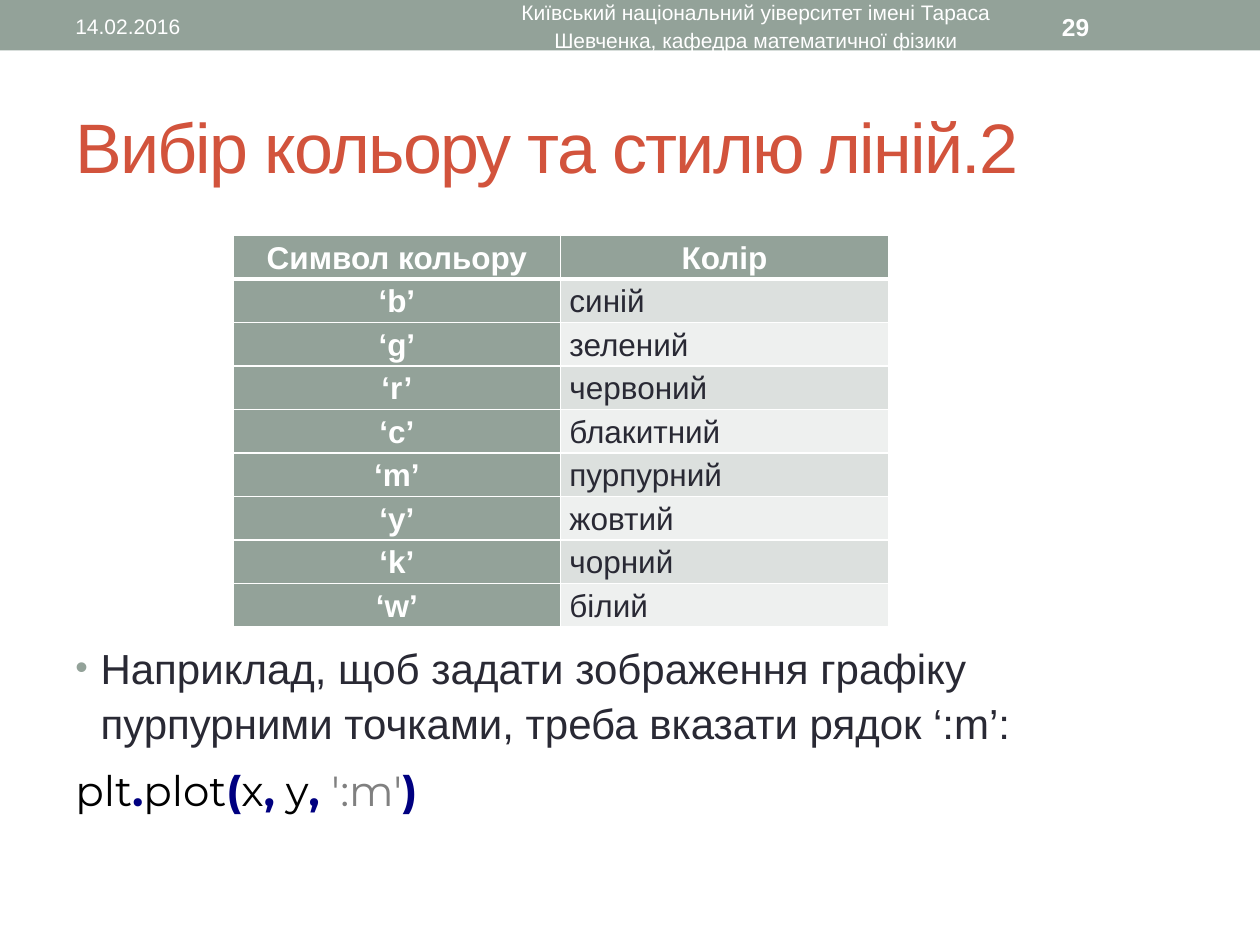
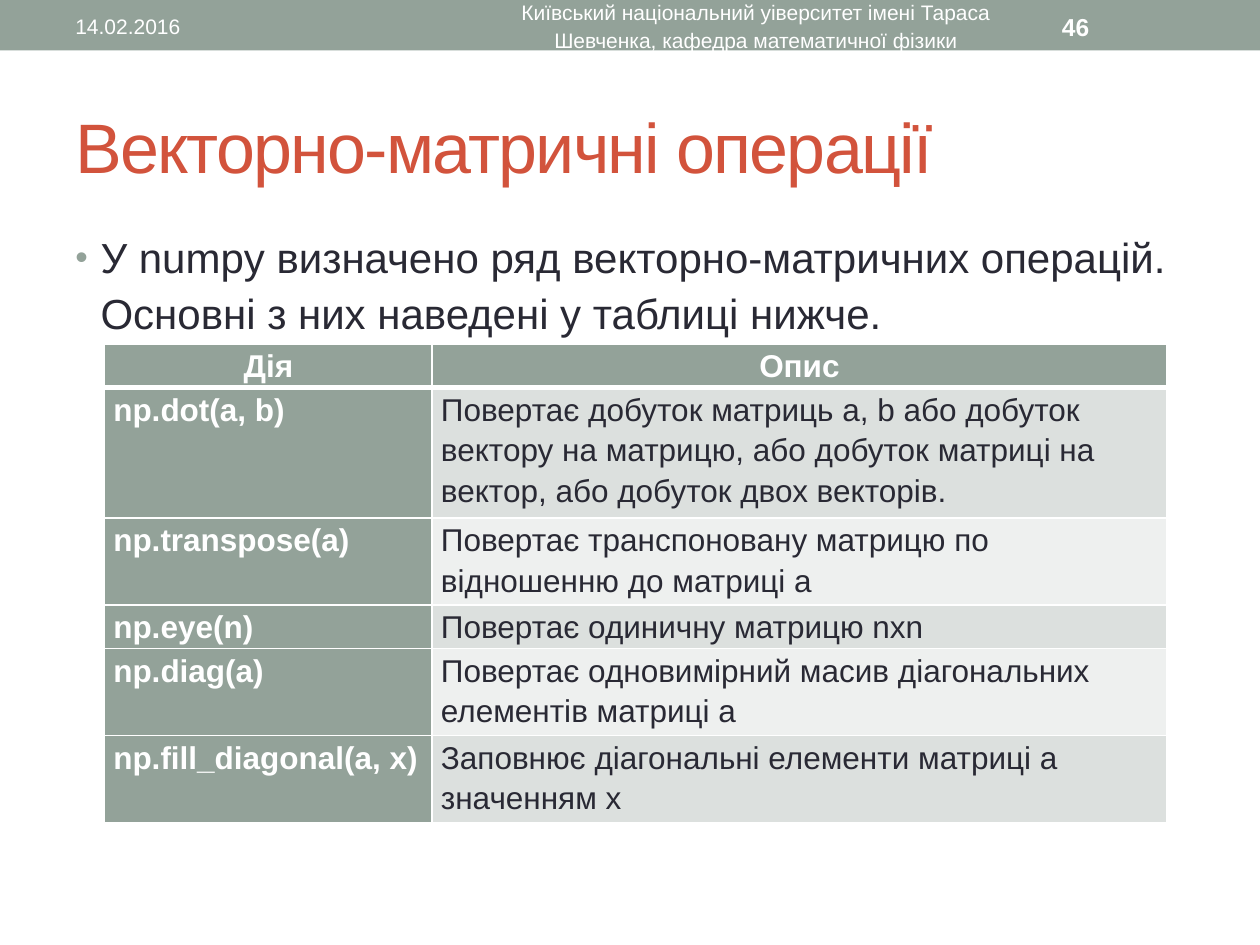
from lxml.etree import SubElement
from pptx import Presentation
from pptx.dml.color import RGBColor
from pptx.enum.shapes import MSO_SHAPE
from pptx.enum.text import MSO_ANCHOR, PP_ALIGN
from pptx.oxml.ns import qn
from pptx.util import Inches, Pt

SAGE = RGBColor(0x93, 0xA2, 0x99)
BRICK = RGBColor(0xD2, 0x53, 0x3C)
INK = RGBColor(0x29, 0x29, 0x34)
WHITE = RGBColor(0xFF, 0xFF, 0xFF)
BLACK = RGBColor(0x00, 0x00, 0x00)
NAVY = RGBColor(0x00, 0x00, 0x80)
GRAY = RGBColor(0x80, 0x80, 0x80)
ROW_FILLS = [RGBColor(0xDC, 0xE0, 0xDE), RGBColor(0xEE, 0xF0, 0xEF)]

DATE = "14.02.2016"
FOOTER = "Київський національний уіверситет імені Тараса Шевченка, кафедра математичної фізики"
ROW_HEIGHT = 0.32

PAGES = [
    {
        "title": "Вибір кольору та стилю ліній.2",
        "number": "29",
        "bullet": "Наприклад, щоб задати зображення графіку пурпурними точками, треба вказати рядок ‘:m’:",
        "bullet_top": 5.01,
        "code": [("plt", BLACK), (".", NAVY), ("plot", BLACK), ("(", NAVY), ("x", BLACK),
                 (",", NAVY), (" y", BLACK), (", ", NAVY), ("':m'", GRAY), (")", NAVY)],
        "table_at": (1.85, 1.87),
        "columns": (2.6, 2.6),
        "key_align": PP_ALIGN.CENTER,
        "rows": [
            ("Символ кольору", "Колір"),
            ("‘b’", "синій"),
            ("‘g’", "зелений"),
            ("‘r’", "червоний"),
            ("‘c’", "блакитний"),
            ("‘m’", "пурпурний"),
            ("‘y’", "жовтий"),
            ("‘k’", "чорний"),
            ("‘w’", "білий"),
        ],
    },
    {
        "title": "Векторно-матричні операції",
        "number": "46",
        "bullet": "У numpy визначено ряд векторно-матричних операцій. Основні з них наведені у таблиці нижче.",
        "bullet_top": 1.75,
        "code": [],
        "table_at": (0.83, 2.73),
        "columns": (2.6, 5.83),
        "key_align": PP_ALIGN.LEFT,
        "rows": [
            ("Дія", "Опис"),
            ("np.dot(a, b)", "Повертає добуток матриць a, b або добуток вектору на матрицю, "
                             "або добуток матриці на вектор, або добуток двох векторів."),
            ("np.transpose(a)", "Повертає транспоновану матрицю по відношенню до матриці a"),
            ("np.eye(n)", "Повертає одиничну матрицю nxn"),
            ("np.diag(a)", "Повертає одновимірний масив діагональних елементів матриці a"),
            ("np.fill_diagonal(a, x)", "Заповнює діагональні елементи матриці a значенням x"),
        ],
    },
]


def add_text(page, area, text, size, color, bold=False, align=PP_ALIGN.LEFT, anchor=MSO_ANCHOR.MIDDLE):
    box = page.shapes.add_textbox(*[Inches(length) for length in area])
    frame = box.text_frame
    frame.word_wrap = True
    frame.vertical_anchor = anchor
    frame.text = text
    para = frame.paragraphs[0]
    para.alignment = align
    para.line_spacing = 1.1
    font = para.runs[0].font
    font.name, font.size, font.bold = "Arial", Pt(size), bold
    font.color.rgb = color
    return frame


def style_cell(cell, text, color, fill, bold, align, top_width, bottom_width):
    cell.margin_left = cell.margin_right = Inches(0.07)
    cell.margin_top = cell.margin_bottom = 0
    cell.text = text
    para = cell.text_frame.paragraphs[0]
    para.alignment = align
    para.line_spacing = 1.15
    font = para.runs[0].font
    font.name, font.size, font.bold = "Arial", Pt(18), bold
    font.color.rgb = color
    properties = cell._tc.get_or_add_tcPr()
    for side, width in (("lnL", 1), ("lnR", 1), ("lnT", top_width), ("lnB", bottom_width)):
        line = SubElement(properties, qn(f"a:{side}"), w=str(Pt(width)))
        SubElement(SubElement(line, qn("a:solidFill")), qn("a:srgbClr"), val=str(WHITE))
    cell.fill.solid()
    cell.fill.fore_color.rgb = fill


deck = Presentation()
deck.slide_width, deck.slide_height = Inches(10), Inches(7.5)

for content in PAGES:
    page = deck.slides.add_slide(deck.slide_layouts[6])

    band = page.shapes.add_shape(MSO_SHAPE.RECTANGLE, 0, 0, deck.slide_width, Inches(0.4))
    band.shadow.inherit = False
    band.fill.solid()
    band.fill.fore_color.rgb = SAGE
    band.line.fill.background()

    title = add_text(page, (0.5, 0.58, 9, 1.08), content["title"], 40, BRICK)
    title.paragraphs[0].runs[0]._r.get_or_add_rPr().set("spc", "-100")

    # Bullet, followed by the line of code where there is one
    body_area = (0.5, content["bullet_top"], 9, 7.08 - content["bullet_top"])
    body = add_text(page, body_area, content["bullet"], 24, INK, anchor=MSO_ANCHOR.TOP)
    bullet = body.paragraphs[0]._p.get_or_add_pPr()
    bullet.set("marL", str(Inches(0.2)))
    bullet.set("indent", str(Inches(-0.2)))
    SubElement(SubElement(bullet, qn("a:buClr")), qn("a:srgbClr"), val=str(SAGE))
    SubElement(bullet, qn("a:buSzPct"), val="85000")
    SubElement(bullet, qn("a:buFont"), typeface="Arial")
    SubElement(bullet, qn("a:buChar"), char="•")
    if content["code"]:
        code = body.add_paragraph()
        code.line_spacing = 1.15
        code.space_before = Pt(4.8)
        for token, color in content["code"]:
            span = code.add_run()
            span.text = token
            span.font.name, span.font.size = "Montserrat", Pt(24)
            span.font.bold = color == NAVY
            span.font.color.rgb = color

    add_text(page, (0.5, 0.02, 3.17, 0.36), DATE, 12, WHITE)
    add_text(page, (3.75, 0.02, 4.5, 0.36), FOOTER, 12, WHITE, align=PP_ALIGN.CENTER)
    add_text(page, (8.33, 0.02, 1.17, 0.36), content["number"], 14, WHITE, bold=True)

    rows, columns = content["rows"], content["columns"]
    left, top = content["table_at"]
    table = page.shapes.add_table(len(rows), len(columns), Inches(left), Inches(top),
                                  Inches(sum(columns)), Inches(ROW_HEIGHT * len(rows))).table
    for column, width in zip(table.columns, columns):
        column.width = Inches(width)
    for r, row in enumerate(rows):
        table.rows[r].height = Inches(ROW_HEIGHT)
        for c, text in enumerate(row):
            strong = r == 0 or c == 0
            if r == 0:
                align = PP_ALIGN.CENTER
            else:
                align = content["key_align"] if c == 0 else PP_ALIGN.LEFT
            style_cell(table.cell(r, c), text,
                       color=WHITE if strong else INK,
                       fill=SAGE if strong else ROW_FILLS[(r - 1) % 2],
                       bold=strong, align=align,
                       top_width=3 if r == 1 else 1,
                       bottom_width=3 if r == 0 else 1)

deck.save("out.pptx")
